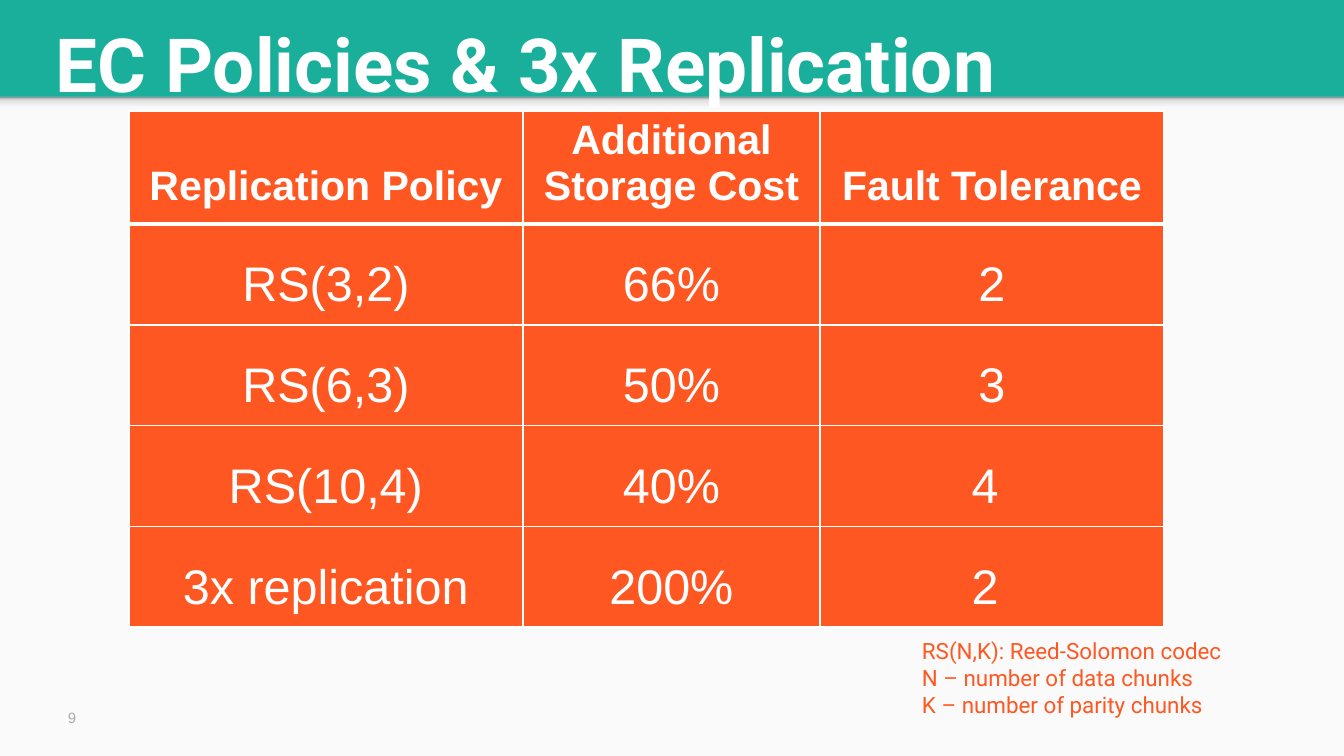
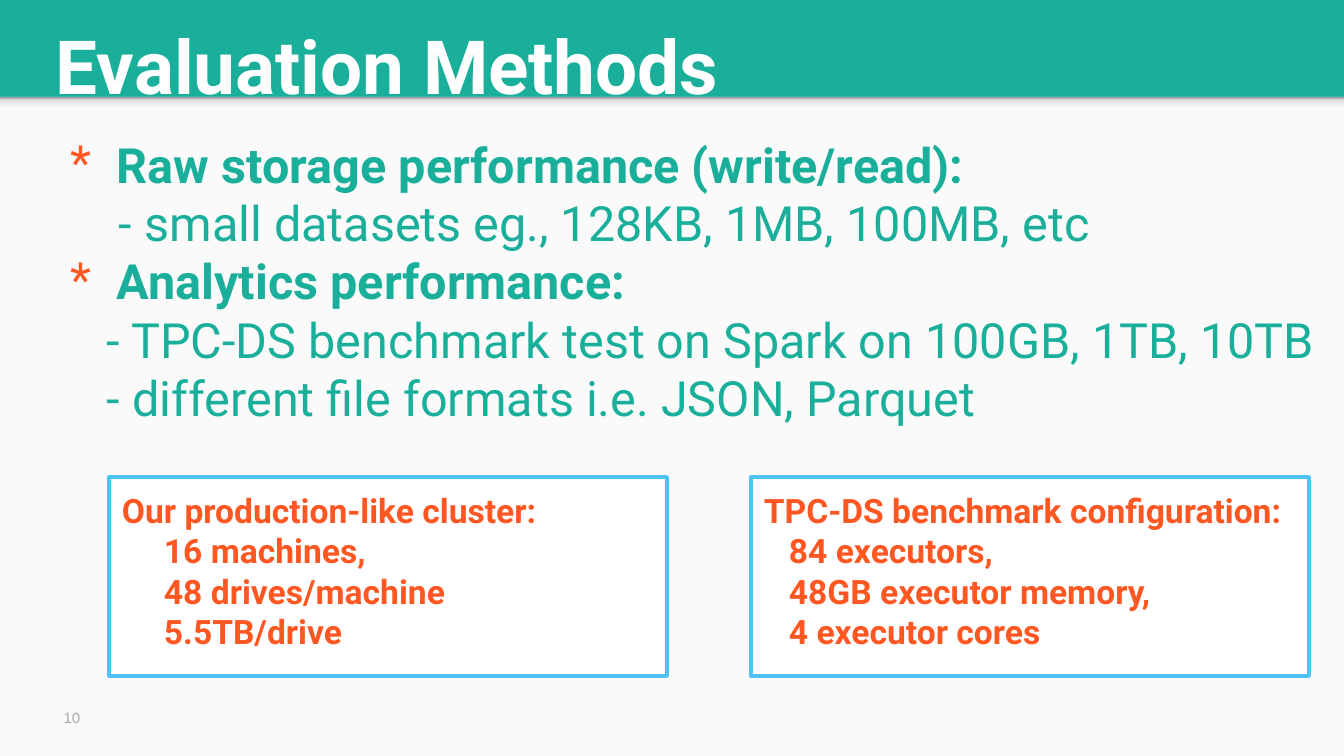
"""Build two slides on erasure-coding policies and their evaluation."""
import lxml.etree
import pptx
import pptx.dml.color
import pptx.enum.shapes
import pptx.enum.text
import pptx.oxml.ns
import pptx.util

WIDTH, HEIGHT = 1344, 756
EMU_PER_PX = 9144000 / WIDTH
BAND = 97
INSET = 13

TEAL = "19AF9B"
ORANGE = "FF5722"
WHITE = "FFFFFF"
PAPER = "FAFAFA"
SKY = "4FC3F7"
GREY = "ABABAB"
BAND_SHADOW = [(0, "F9F9F9"), (36, "F9F9F9"), (80, "DEDEDE"), (100, "999999")]

POLICIES = [
    ("Replication Policy", "Additional\nStorage Cost", "Fault Tolerance"),
    ("RS(3,2)", "66%", "2"),
    ("RS(6,3)", "50%", "3"),
    ("RS(10,4)", "40%", "4 "),
    ("3x replication", "200%", "2 "),
]
CODEC_NOTE = [
    "RS(N,K): Reed-Solomon codec",
    "N – number of data chunks",
    "K – number of parity chunks",
]
METHODS = [
    ("Raw storage performance (write/read):", True, 46),
    ("- small datasets eg., 128KB, 1MB, 100MB, etc", False, 48),
    ("Analytics performance:", True, 46),
    ("- TPC-DS benchmark test on Spark on 100GB, 1TB, 10TB", False, 36),
    ("- different file formats i.e. JSON, Parquet", False, 36),
]
SETUPS = [
    (109, 42, "Our production-like cluster:",
     ["16 machines,", "48 drives/machine", "5.5TB/drive"]),
    (751, 25, "TPC-DS benchmark configuration:",
     ["84 executors,", "48GB executor memory,", "4 executor cores"]),
]


def px(length):
    """Turn pixels into EMU."""
    return pptx.util.Emu(round(length * EMU_PER_PX))


def rgb(value):
    """Turn a hex string into a colour."""
    return pptx.dml.color.RGBColor.from_string(value)


def child(parent, tag, **attributes):
    """Append a drawing element with the given attributes."""
    element = lxml.etree.SubElement(parent, pptx.oxml.ns.qn(tag))
    for name, value in attributes.items():
        element.set(name, str(value))
    return element


def write(frame, text, size, color, font="Roboto", bold=False, align=None,
          spacing=None, indent=0, bullet=None):
    """Add one formatted paragraph to a text frame."""
    paragraph = frame.paragraphs[0]
    if paragraph.runs:
        paragraph = frame.add_paragraph()
    if indent:
        properties = paragraph._p.get_or_add_pPr()
        properties.set("marL", str(px(indent)))
        properties.set("indent", str(-px(indent) if bullet else 0))
        if bullet:
            child(child(properties, "a:buClr"), "a:srgbClr", val=ORANGE)
            child(properties, "a:buFont", typeface=font)
            child(properties, "a:buChar", char=bullet)
    paragraph.alignment = align
    paragraph.line_spacing = spacing
    run = paragraph.add_run()
    run.text = text
    run.font.size = pptx.util.Pt(size)
    run.font.name = font
    run.font.bold = bold
    run.font.color.rgb = rgb(color)


def text_area(slide, x, y, width, height, inset_y=INSET, wrap=True):
    """Add an empty text box and return its frame."""
    frame = slide.shapes.add_textbox(px(x), px(y), px(width), px(height)).text_frame
    frame.word_wrap = wrap
    frame.margin_left = frame.margin_right = px(INSET)
    frame.margin_top = frame.margin_bottom = px(inset_y)
    return frame


def panel(slide, x, y, width, height, fill, line=None):
    """Add a flat rectangle."""
    rectangle = slide.shapes.add_shape(
        pptx.enum.shapes.MSO_SHAPE.RECTANGLE, px(x), px(y), px(width), px(height))
    rectangle.shadow.inherit = False
    rectangle.fill.solid()
    rectangle.fill.fore_color.rgb = rgb(fill)
    if line:
        rectangle.line.color.rgb = rgb(line)
        rectangle.line.width = pptx.util.Pt(2)
    else:
        rectangle.line.fill.background()
    return rectangle


def shade(rectangle, stops):
    """Fill a rectangle with a gradient that runs from bottom to top."""
    rectangle.fill.gradient()
    rectangle.fill.gradient_angle = 90
    stop_list = rectangle._element.spPr.find(".//" + pptx.oxml.ns.qn("a:gsLst"))
    for stop in list(stop_list):
        stop_list.remove(stop)
    for position, color in stops:
        child(child(stop_list, "a:gs", pos=position * 1000), "a:srgbClr", val=color)


def base_slide(deck, title, title_y, number):
    """Add a slide with the title band, the paper area and the page number."""
    slide = deck.slides.add_slide(deck.slide_layouts[6])
    slide.background.fill.solid()
    slide.background.fill.fore_color.rgb = rgb(TEAL)
    panel(slide, 0, BAND, WIDTH, HEIGHT - BAND, PAPER)
    shade(panel(slide, 0, BAND, WIDTH, 16, PAPER), BAND_SHADOW)
    write(text_area(slide, 43, title_y, 1208, 114), title, 40, WHITE,
          bold=True, spacing=1.15)
    footer = text_area(slide, 47, 704, 50, 28, inset_y=7)
    footer.vertical_anchor = pptx.enum.text.MSO_ANCHOR.MIDDLE
    write(footer, str(number), 8, GREY, font="Arial",
          align=pptx.enum.text.PP_ALIGN.CENTER)
    return slide


def cell_borders(cell, top, bottom):
    """Draw white borders round a cell, with top and bottom widths in points."""
    properties = cell._tc.get_or_add_tcPr()
    for side, width in (("L", 1), ("R", 1), ("T", top), ("B", bottom)):
        line = child(properties, "a:ln" + side, w=pptx.util.Pt(width))
        child(child(line, "a:solidFill"), "a:srgbClr", val=WHITE)


def policy_table(slide, x, y, columns, row_heights):
    """Add the table that compares the replication policies."""
    table = slide.shapes.add_table(
        len(row_heights), len(columns), px(x), px(y),
        px(sum(columns)), px(sum(row_heights))).table
    table.horz_banding = False
    for column, width in zip(table.columns, columns):
        column.width = px(width)
    for index, (row, height, policy) in enumerate(
            zip(table.rows, row_heights, POLICIES)):
        row.height = px(height)
        header = index == 0
        for cell, text in zip(row.cells, policy):
            cell_borders(cell, 3 if index == 1 else 1, 3 if header else 1)
            cell.fill.solid()
            cell.fill.fore_color.rgb = rgb(ORANGE)
            lines = text.split("\n")
            spacing = (2.0 if len(lines) == 1 else None) if header else 1.5
            for line in lines:
                write(cell.text_frame, line, 22 if header else 26, WHITE,
                      font="Arial", bold=header, spacing=spacing,
                      align=pptx.enum.text.PP_ALIGN.CENTER)


def setup_box(slide, x, indent, heading, details):
    """Add a framed box with a heading and indented details."""
    frame = panel(slide, x, 477, 558, 199, WHITE, line=SKY).text_frame
    frame.word_wrap = True
    frame.vertical_anchor = pptx.enum.text.MSO_ANCHOR.TOP
    frame.margin_left = frame.margin_right = px(INSET)
    frame.margin_top = frame.margin_bottom = px(INSET)
    for text in [heading] + details:
        write(frame, text, 18, ORANGE, bold=True,
              align=pptx.enum.text.PP_ALIGN.LEFT,
              indent=0 if text == heading else indent)


def policies_slide(deck):
    """Build the slide on policies and replication."""
    slide = base_slide(deck, "EC Policies & 3x Replication", -9, 9)
    policy_table(slide, 129, 111, [394, 297, 344], [113] + [87] * 4)
    note = text_area(slide, 909, 630, 329, 95, inset_y=7, wrap=False)
    for line in CODEC_NOTE:
        write(note, line, 12, ORANGE)


def methods_slide(deck):
    """Build the slide on evaluation methods."""
    slide = base_slide(deck, "Evaluation Methods", -7, 10)
    methods = text_area(slide, 58, 122, 1286, 394)
    for text, heading, indent in METHODS:
        write(methods, text, 26, TEAL, bold=heading, indent=indent,
              bullet="*" if heading else None)
    for setup in SETUPS:
        setup_box(slide, *setup)


def main():
    """Build and save the deck."""
    deck = pptx.Presentation()
    deck.slide_width, deck.slide_height = px(WIDTH), px(HEIGHT)
    policies_slide(deck)
    methods_slide(deck)
    deck.save("out.pptx")


if __name__ == "__main__":
    main()
